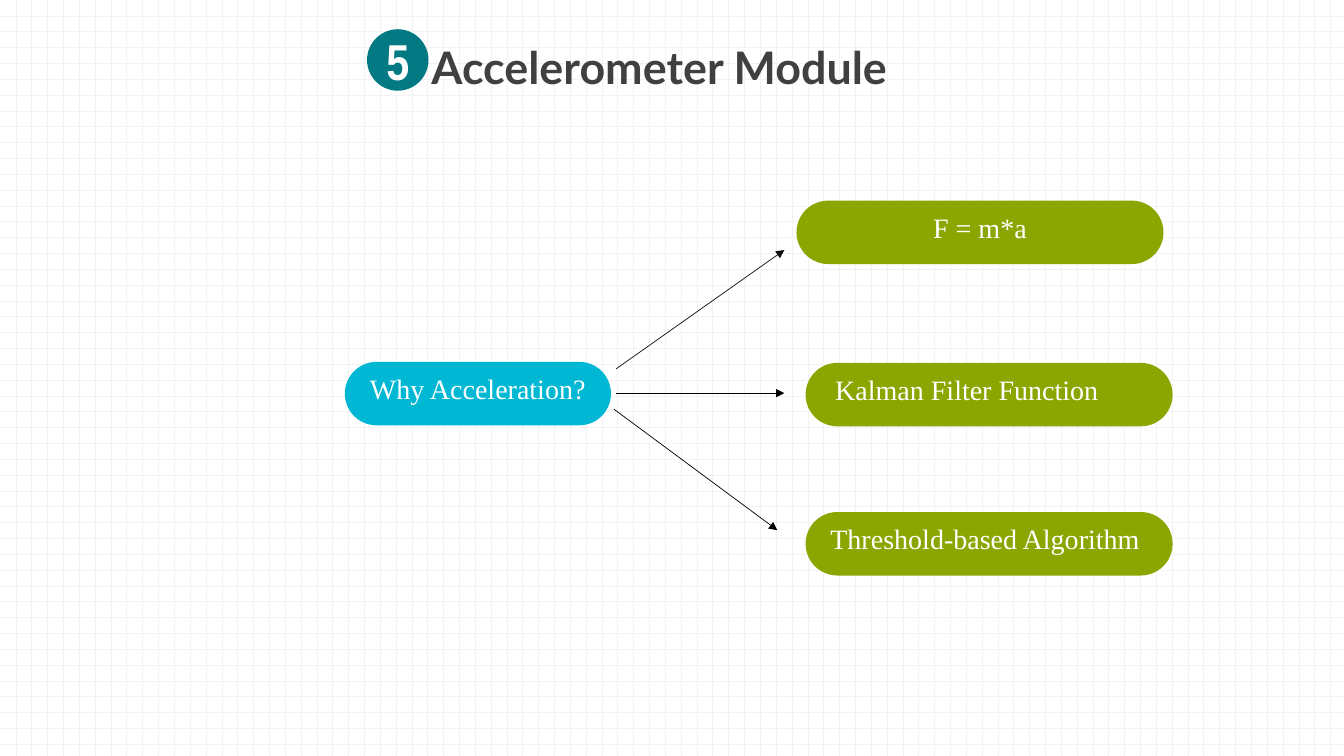
"""Build the Accelerometer Module slide: one question leading to three answers."""
from lxml import etree
from pptx import Presentation
from pptx.dml.color import RGBColor
from pptx.enum.dml import MSO_PATTERN
from pptx.enum.shapes import MSO_CONNECTOR, MSO_SHAPE
from pptx.enum.text import MSO_ANCHOR, MSO_AUTO_SIZE, PP_ALIGN
from pptx.oxml.ns import qn
from pptx.util import Inches, Pt

DOTTED_GRID = MSO_PATTERN.DOTTED_GRID
STRAIGHT = MSO_CONNECTOR.STRAIGHT
OVAL, PILL = MSO_SHAPE.OVAL, MSO_SHAPE.ROUNDED_RECTANGLE
MIDDLE, CENTER = MSO_ANCHOR.MIDDLE, PP_ALIGN.CENTER
NO_AUTOFIT = MSO_AUTO_SIZE.NONE

COLORS = {
    "white": "FFFFFF", "grid": "F2F2F2", "title": "404040", "badge": "037984",
    "question": "00B8D4", "answer": "8CA601", "soft black": "0D0D0D", "black": "000000",
}
PILL_HEIGHT = 0.63
ANSWER_WIDTH = 3.64

TITLE = ("Accelerometer Module", (3.28, 0.4, 6.52, 0.58))
BADGE = ("5", (3.64, 0.29, 0.61, 0.61))
# text, left, top, width, colour, right inset
PILLS = [
    ("Why Acceleration?", 3.42, 3.59, 2.64, "question", 0),
    ("F = m*a", 7.9, 1.99, ANSWER_WIDTH, "answer", 0),
    ("Kalman Filter Function", 7.99, 3.6, ANSWER_WIDTH, "answer", 0.44),
    ("Threshold-based Algorithm", 7.99, 5.08, ANSWER_WIDTH, "answer", 0.08),
]
ARROWS = [
    ((6.11, 3.66), (7.78, 2.48), "soft black"),
    ((6.11, 3.9), (7.78, 3.9), "black"),
    ((6.09, 4.06), (7.71, 5.26), "black"),
]


def color(name):
    return RGBColor.from_string(COLORS[name])


def write(shape, text, font_name, size, color_name, bold=False, right=0, bottom=0):
    frame = shape.text_frame
    frame.text = text
    frame.word_wrap = True
    frame.auto_size = NO_AUTOFIT
    frame.vertical_anchor = MIDDLE
    frame.margin_left = frame.margin_top = 0
    frame.margin_right, frame.margin_bottom = Inches(right), Inches(bottom)
    paragraph = frame.paragraphs[0]
    paragraph.alignment = CENTER
    font = paragraph.runs[0].font
    font.name, font.size, font.bold = font_name, Pt(size), bold
    font.color.rgb = color(color_name)


def add_filled_shape(slide, kind, box, color_name):
    shape = slide.shapes.add_shape(kind, *map(Inches, box))
    shape.shadow.inherit = False
    shape.fill.solid()
    shape.fill.fore_color.rgb = color(color_name)
    shape.line.fill.background()
    return shape


def add_title(slide):
    text, box = TITLE
    title = slide.shapes.title
    title.left, title.top, title.width, title.height = map(Inches, box)
    write(title, text, "Lato", 32, "title", bold=True)
    title.text_frame.paragraphs[0].line_spacing = 0.9


def add_arrow(slide, start, end, color_name):
    arrow = slide.shapes.add_connector(STRAIGHT, *map(Inches, start + end))
    arrow.line.color.rgb = color(color_name)
    arrow.line.width = Pt(0.5)
    etree.SubElement(arrow.line._get_or_add_ln(), qn("a:tailEnd"), type="triangle")
    etree.SubElement(arrow._element.spPr, qn("a:effectLst"))


def add_pill(slide, text, left, top, width, color_name, right):
    pill = add_filled_shape(slide, PILL, (left, top, width, PILL_HEIGHT), color_name)
    pill.adjustments[0] = 0.5
    write(pill, text, "Times New Roman", 20, "white", right=right, bottom=0.1)


def main():
    presentation = Presentation()
    presentation.slide_width, presentation.slide_height = Inches(13.33), Inches(7.5)
    slide = presentation.slides.add_slide(presentation.slide_layouts[5])

    background = slide.background.fill
    background.patterned()
    background.pattern = DOTTED_GRID
    background.fore_color.rgb = color("grid")
    background.back_color.rgb = color("white")

    add_title(slide)
    number, badge_box = BADGE
    badge = add_filled_shape(slide, OVAL, badge_box, "badge")
    write(badge, number, "Arial Narrow", 36, "white", bold=True)
    for arrow in ARROWS:
        add_arrow(slide, *arrow)
    for pill in PILLS:
        add_pill(slide, *pill)

    presentation.save("out.pptx")


if __name__ == "__main__":
    main()
